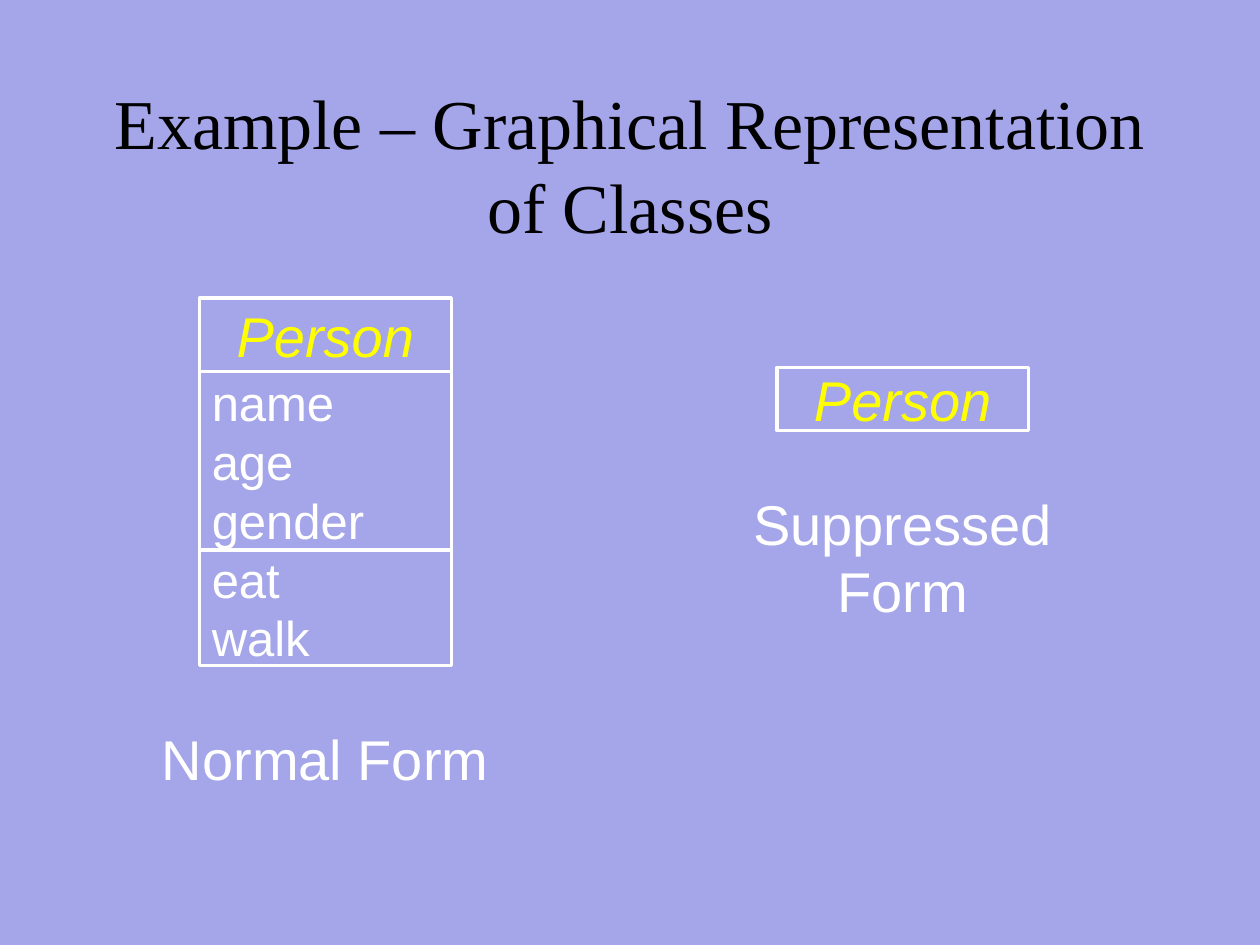
from dataclasses import dataclass

from pptx import Presentation
from pptx.dml.color import RGBColor as RGB
from pptx.enum.shapes import MSO_SHAPE as Shape
from pptx.enum.text import MSO_ANCHOR as Anchor, PP_ALIGN as Align
from pptx.util import Cm, Pt


@dataclass(frozen=True)
class Theme:
    background: RGB = RGB(0xA5, 0xA5, 0xE9)
    title: RGB = RGB(0, 0, 0)
    text: RGB = RGB(0xFF, 0xFF, 0xFF)
    class_name: RGB = RGB(0xFF, 0xFF, 0)
    title_font: str = "Times New Roman"
    body_font: str = "Arial"
    title_size: int = 40
    label_size: int = 32
    member_size: int = 28
    line_width: int = 2


THEME = Theme()
BOX_WIDTH = 5.08
CAPTION_WIDTH = 7.62


def write(sp, text, size, color, align=Align.CENTER, anchor=Anchor.MIDDLE,
          font=THEME.body_font, italic=False):
    tf = sp.text_frame
    tf.word_wrap = True
    tf.vertical_anchor = anchor
    tf.text = text
    for p in tf.paragraphs:
        p.alignment = align
        for r in p.runs:
            r.font.name = font
            r.font.size = Pt(size)
            r.font.color.rgb = color
            r.font.italic = italic


def add_title(s, text):
    sp = s.shapes.add_textbox(Cm(1.9), Cm(1.7), Cm(21.6), Cm(3.18))
    write(sp, text, THEME.title_size, THEME.title, font=THEME.title_font)


def add_box(s, left, top, height):
    sp = s.shapes.add_shape(Shape.RECTANGLE, Cm(left), Cm(top), Cm(BOX_WIDTH), Cm(height))
    sp.shadow.inherit = False
    sp.fill.background()
    sp.line.color.rgb = THEME.text
    sp.line.width = Pt(THEME.line_width)
    return sp


def add_class(s, left, top, name, name_height, compartments=()):
    write(add_box(s, left, top, name_height), name, THEME.label_size,
          THEME.class_name, italic=True)
    top += name_height
    for members, height in compartments:
        write(add_box(s, left, top, height), "\n".join(members),
              THEME.member_size, THEME.text, Align.LEFT)
        top += height


def add_caption(s, box_left, top, height, text):
    left = box_left + (BOX_WIDTH - CAPTION_WIDTH) / 2
    sp = s.shapes.add_textbox(Cm(left), Cm(top), Cm(CAPTION_WIDTH), Cm(height))
    write(sp, text, THEME.label_size, THEME.text, anchor=Anchor.TOP)


def main():
    prs = Presentation()
    prs.slide_width, prs.slide_height = Cm(25.4), Cm(19.05)
    s = prs.slides.add_slide(prs.slide_layouts[6])
    s.background.fill.solid()
    s.background.fill.fore_color.rgb = THEME.background

    add_title(s, "Example – Graphical Representation of Classes")

    normal_left, suppressed_left = 4.02, 15.66
    compartments = [(("name", "age", "gender"), 3.6), (("eat", "walk"), 2.33)]
    add_class(s, normal_left, 6.01, "Person", 1.48, compartments)
    add_caption(s, normal_left, 14.48, 1.61, "Normal Form")
    add_class(s, suppressed_left, 7.41, "Person", 1.27)
    add_caption(s, suppressed_left, 9.74, 2.96, "Suppressed Form")

    prs.save("out.pptx")


if __name__ == "__main__":
    main()
